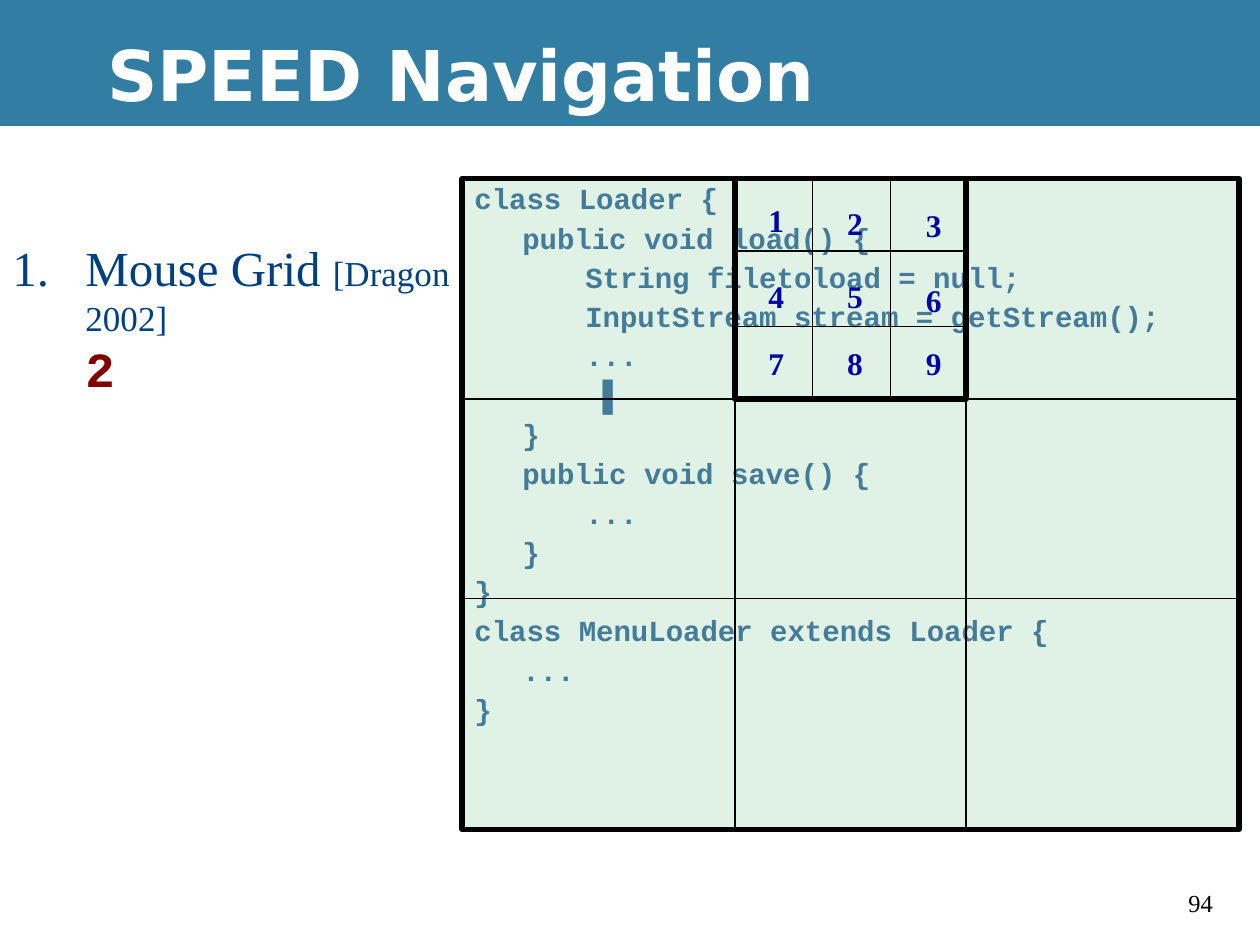
from lxml import etree
from pptx import Presentation
from pptx.dml.color import RGBColor
from pptx.enum.shapes import MSO_CONNECTOR as CONN, MSO_SHAPE as SHAPE
from pptx.enum.text import MSO_ANCHOR as ANCHOR, MSO_AUTO_SIZE as FIT, PP_ALIGN as ALIGN
from pptx.oxml.ns import qn
from pptx.util import Inches, Pt

BLACK = RGBColor(0x00, 0x00, 0x00)
WHITE = RGBColor(0xFF, 0xFF, 0xFF)
BANNER = RGBColor(0x32, 0x7E, 0xA3)
PAPER = RGBColor(0xE3, 0xEB, 0xF1)
TINT = RGBColor(0xDA, 0xFF, 0xCE)
NAVY = RGBColor(0x00, 0x40, 0x80)
DIGIT = RGBColor(0x00, 0x05, 0xA4)
MAROON = RGBColor(0x80, 0x00, 0x00)

# Text styles
SERIF = "Times New Roman"
TITLE = dict(name="DejaVu Sans", size=Pt(40), bold=True, color=WHITE)
CODE = dict(name="Courier New", size=Pt(16.6), bold=True, color=NAVY)
CURSOR = {**CODE, "name": "Arial"}
ITEM = dict(name=SERIF, size=Pt(28), bold=False, color=NAVY)
CITE = {**ITEM, "size": Pt(20)}
SPOKEN = dict(name="Courier New", size=Pt(28), bold=True, color=MAROON)
CELL = dict(name=SERIF, size=Pt(18), bold=True, color=DIGIT)
PAGE = dict(name=SERIF, size=Pt(14), bold=False, color=BLACK)

# Grid of 120 columns by 90 rows, and the lines of both mouse grids on it
COLS, ROWS = 120, 90
OUTER_X, OUTER_Y = (44, 70, 92, 118), (17, 38, 57, 79)
INNER_X, INNER_Y = (70, 77.4, 84.8, 92), (17, 23.9, 31.1, 38)
DIGIT_X = (72, 79.5, 87)
DIGIT_Y = ((18.6, 18.8, 19), (25.8, 25.8, 26.2), (32.2, 32.2, 32.2))

CODE_LINES = [
    "class Loader {",
    "\tpublic void load() {",
    "\t\tString filetoload = null;",
    "\t\tInputStream stream = getStream();",
    "\t\t...",
    "\t\t ▌",
    "\t}",
    "\tpublic void save() {",
    "\t\t...",
    "\t}",
    "}",
    "class MenuLoader extends Loader {",
    "\t...",
    "}",
]


class SlideBuilder:
    def __init__(self, prs):
        self.width, self.height = prs.slide_width, prs.slide_height
        self.slide = prs.slides.add_slide(prs.slide_layouts[5])
        self.shapes = self.slide.shapes
        fill = self.slide.background.fill
        fill.solid()
        fill.fore_color.rgb = BLACK

    def x(self, col):
        return round(self.width * col / COLS)

    def y(self, row):
        return round(self.height * row / ROWS)

    def box(self, left, top, width, height):
        return self.x(left), self.y(top), self.x(width), self.y(height)

    def run(self, p, text, style):
        r = p.add_run()
        r.text = text
        for key, value in style.items():
            if key == "color":
                r.font.color.rgb = value
            else:
                setattr(r.font, key, value)

    def title(self, text, *place):
        sp = self.shapes.title
        sp.left, sp.top, sp.width, sp.height = self.box(*place)
        tf = sp.text_frame
        tf.auto_size, tf.vertical_anchor = FIT.NONE, ANCHOR.MIDDLE
        p = tf.paragraphs[0]
        p.alignment = ALIGN.LEFT
        self.run(p, text, TITLE)
        sp.element.getparent().append(sp.element)  # in front of the banner

    def rect(self, *place, fill=None, line=None, alpha=None):
        sp = self.shapes.add_shape(SHAPE.RECTANGLE, *self.box(*place))
        sp.shadow.inherit = False
        if fill is None:
            sp.fill.background()
        else:
            sp.fill.solid()
            sp.fill.fore_color.rgb = fill
        if alpha:
            clr = sp.element.spPr.find(".//" + qn("a:srgbClr"))
            etree.SubElement(clr, qn("a:alpha"), val=str(alpha * 1000))
        if line is None:
            sp.line.fill.background()
        else:
            sp.line.color.rgb, sp.line.width = BLACK, Pt(line)
        return sp

    def text(self, *place):
        tf = self.shapes.add_textbox(*self.box(*place)).text_frame
        tf.word_wrap = True
        return tf.paragraphs[0]

    def label(self, text, style, *place):
        self.run(self.text(*place), text, style)

    def indent(self, p, inches, number=False):
        pPr = p._p.get_or_add_pPr()
        pPr.set("marL", str(Inches(inches)))
        pPr.set("indent", str(-Inches(inches)))
        if number:
            color = etree.SubElement(pPr, qn("a:buClr"))
            etree.SubElement(color, qn("a:srgbClr"), val=str(NAVY))
            etree.SubElement(pPr, qn("a:buAutoNum"), type="arabicPeriod")
        tabs = etree.SubElement(pPr, qn("a:tabLst"))
        for inch in range(8):
            etree.SubElement(tabs, qn("a:tab"), pos=str(Inches(inch)), algn="l")

    def code(self, lines, *place):
        tf = self.rect(*place, fill=PAPER, line=0.75).text_frame
        tf.word_wrap, tf.vertical_anchor = True, ANCHOR.TOP
        for i, line in enumerate(lines):
            p = tf.add_paragraph() if i else tf.paragraphs[0]
            self.indent(p, 0.38)
            p.alignment, p.line_spacing = ALIGN.LEFT, 0.9
            if i:
                p.space_before = Pt(4.5)
            before, cursor, _ = line.partition("▌")
            self.run(p, before, CODE)
            if cursor:
                self.run(p, cursor, CURSOR)

    def line(self, x1, y1, x2, y2):
        ln = self.shapes.add_connector(CONN.STRAIGHT, self.x(x1), self.y(y1),
                                       self.x(x2), self.y(y2))
        ln.line.color.rgb, ln.line.width = BLACK, Pt(0.75)
        etree.SubElement(ln.element.spPr, qn("a:effectLst"))

    def mouse_grid(self, xs, ys, **fill):
        self.rect(xs[0], ys[0], xs[-1] - xs[0], ys[-1] - ys[0], line=3, **fill)
        for x in xs[1:-1]:
            self.line(x, ys[0], x, ys[-1])
        for y in ys[1:-1]:
            self.line(xs[0], y, xs[-1], y)


def main():
    prs = Presentation()
    prs.slide_width, prs.slide_height = Inches(10), Inches(7.5)
    s = SlideBuilder(prs)

    # Page, banner and page number
    s.rect(0, 12, COLS, 78, fill=WHITE)
    s.rect(0, 0, COLS, 12, fill=BANNER)
    s.label("94", PAGE, 112, 84, 6, 4.1)

    # Code window, title and numbered item
    s.code(CODE_LINES, 44, 17, 74, 62)
    s.title("SPEED Navigation", 9, 1, 111, 12)
    p = s.text(0, 22, 46, 58)
    s.indent(p, 0.58, number=True)
    s.run(p, "Mouse Grid ", ITEM)
    s.run(p, "[Dragon 2002]", CITE)
    p.add_line_break()
    s.run(p, "2", SPOKEN)

    # Mouse grid over the whole window, then over its cell 2
    s.mouse_grid(OUTER_X, OUTER_Y, fill=TINT, alpha=31)
    s.mouse_grid(INNER_X, INNER_Y)
    for row, tops in enumerate(DIGIT_Y):
        for col, (left, top) in enumerate(zip(DIGIT_X, tops)):
            s.label(str(3 * row + col + 1), CELL, left, top, 2.4, 4.8)

    prs.save("out.pptx")


if __name__ == "__main__":
    main()
